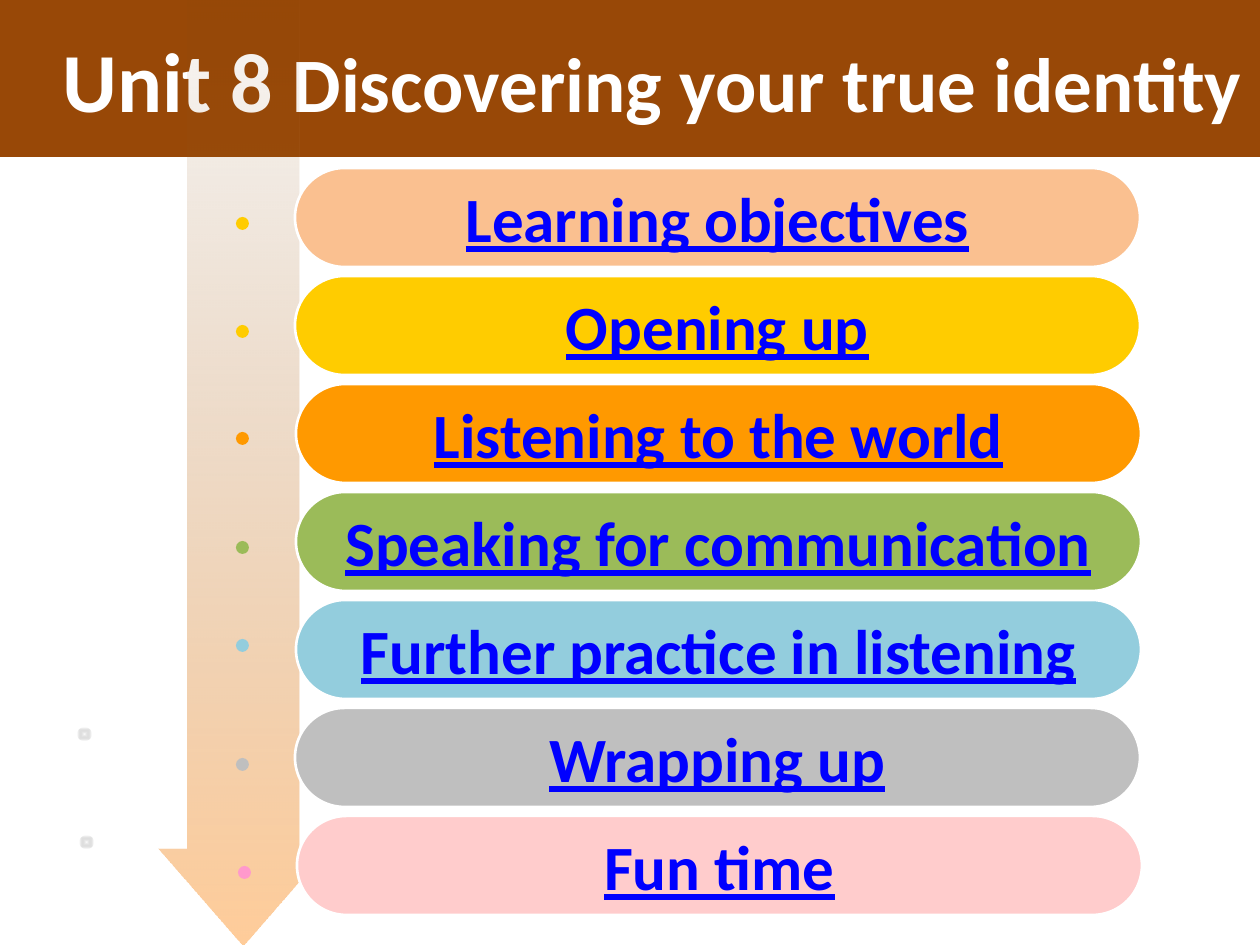
"""Build the unit menu slide: title band, fading arrow and seven topic pills."""
from dataclasses import dataclass

from lxml.etree import SubElement
from pptx import Presentation
from pptx.dml.color import RGBColor
from pptx.enum.shapes import MSO_SHAPE
from pptx.enum.text import MSO_ANCHOR, PP_ALIGN
from pptx.oxml.ns import qn
from pptx.util import Pt

PX = 914400 // 126


@dataclass(frozen=True)
class Theme:
    font: str = "Calibri"
    band: str = "984807"
    white: str = "FFFFFF"
    link: str = "0000FF"
    glow: tuple = (("FF9933", 50), ("764718", 0))
    ring: tuple = (("FFFFFF", 50), ("000000", 0))
    unit: int = 48
    title: int = 44
    topic: int = 36
    edge: float = 1.5


THEME = Theme()
TITLE = (("Unit 8 ", THEME.unit), ("Discovering your true identity", THEME.title))
TOPICS = (
    # label, pill colour, dot colour, pill left, dot left, dot drop
    ("Learning objectives", "FAC090", "FFCC00", 295, 236, 49),
    ("Opening up", "FFCC00", "FFCC00", 295, 236, 49),
    ("Listening to the world", "FF9900", "FF9900", 296, 236, 48),
    ("Speaking for communication", "9BBB59", "9BBB59", 296, 236, 49),
    ("Further practice in listening", "93CDDD", "93CDDD", 296, 236, 39),
    ("Wrapping up", "BFBFBF", "BFBFBF", 295, 236, 50),
    ("Fun time", "FFCCCC", "FF99CC", 297, 238, 50),
)
RINGS = ((78, 728), (80, 836))
TOP, STEP, WIDE, HIGH, DOT = 168, 108, 845, 99, 13


def draw(slide, kind, box, fill=None):
    shape = slide.shapes.add_shape(kind, *(n * PX for n in box))
    shape.shadow.inherit = False
    shape.line.fill.background()
    if fill:
        shape.fill.solid()
        shape.fill.fore_color.rgb = RGBColor.from_string(fill)
    return shape


def fade(shape, stops, radial=False):
    shape.fill.gradient()
    shape.fill.gradient_angle = 270
    for stop, (tone, alpha) in zip(shape.fill.gradient_stops, stops):
        stop.color.rgb = RGBColor.from_string(tone)
    grad = shape._element.spPr.find(qn("a:gradFill"))
    for node, pos, (tone, alpha) in zip(grad.iter(qn("a:gs")), (0, 100000), stops):
        node.set("pos", str(pos))
        SubElement(node[0], qn("a:alpha"), val=str(alpha * 1000))
    if radial:
        grad.remove(grad.find(qn("a:lin")))
        route = SubElement(grad, qn("a:path"), path="shape")
        SubElement(route, qn("a:fillToRect"), l="50000", t="50000", r="50000", b="50000")


def style(run, size, tone):
    run.font.name = THEME.font
    run.font.size = Pt(size)
    run.font.bold = True
    run.font.color.rgb = RGBColor.from_string(tone)


def header(slide):
    band = draw(slide, MSO_SHAPE.RECTANGLE, (0, 0, 1260, 157), THEME.band)
    band.text_frame.vertical_anchor = MSO_ANCHOR.MIDDLE
    para = band.text_frame.paragraphs[0]
    para.alignment = PP_ALIGN.LEFT
    para._p.get_or_add_pPr().set("indent", str(50 * PX))
    for text, size in TITLE:
        run = para.add_run()
        run.text = text
        style(run, size, THEME.white)


def arrow(slide):
    shape = draw(slide, MSO_SHAPE.UP_ARROW, (159, -98, 168, 1043))
    shape.rotation = 180
    shape.adjustments[0] = 0.66
    shape.adjustments[1] = 0.58
    fade(shape, THEME.glow)


def pill(slide, label, tone, left, top):
    shape = draw(slide, MSO_SHAPE.ROUNDED_RECTANGLE, (left, top, WIDE, HIGH), tone)
    shape.adjustments[0] = 0.5
    shape.line.color.rgb = RGBColor.from_string(THEME.white)
    shape.line.width = Pt(THEME.edge)
    frame = shape.text_frame
    frame.text = label
    frame.word_wrap = False
    frame.vertical_anchor = MSO_ANCHOR.MIDDLE
    para = frame.paragraphs[0]
    para.alignment = PP_ALIGN.CENTER
    style(para.runs[0], THEME.topic, THEME.link)
    para.runs[0].font.underline = True


def main():
    deck = Presentation()
    deck.slide_width, deck.slide_height = 1260 * PX, 945 * PX
    slide = deck.slides.add_slide(deck.slide_layouts[6])
    header(slide)
    arrow(slide)
    for row, (label, tone, spot, left, side, drop) in enumerate(TOPICS):
        top = TOP + row * STEP
        pill(slide, label, tone, left, top)
        draw(slide, MSO_SHAPE.OVAL, (side, top + drop, DOT, DOT), spot)
    for left, top in RINGS:
        fade(draw(slide, MSO_SHAPE.OVAL, (left, top, DOT, DOT)), THEME.ring, True)
    deck.save("out.pptx")


if __name__ == "__main__":
    main()
